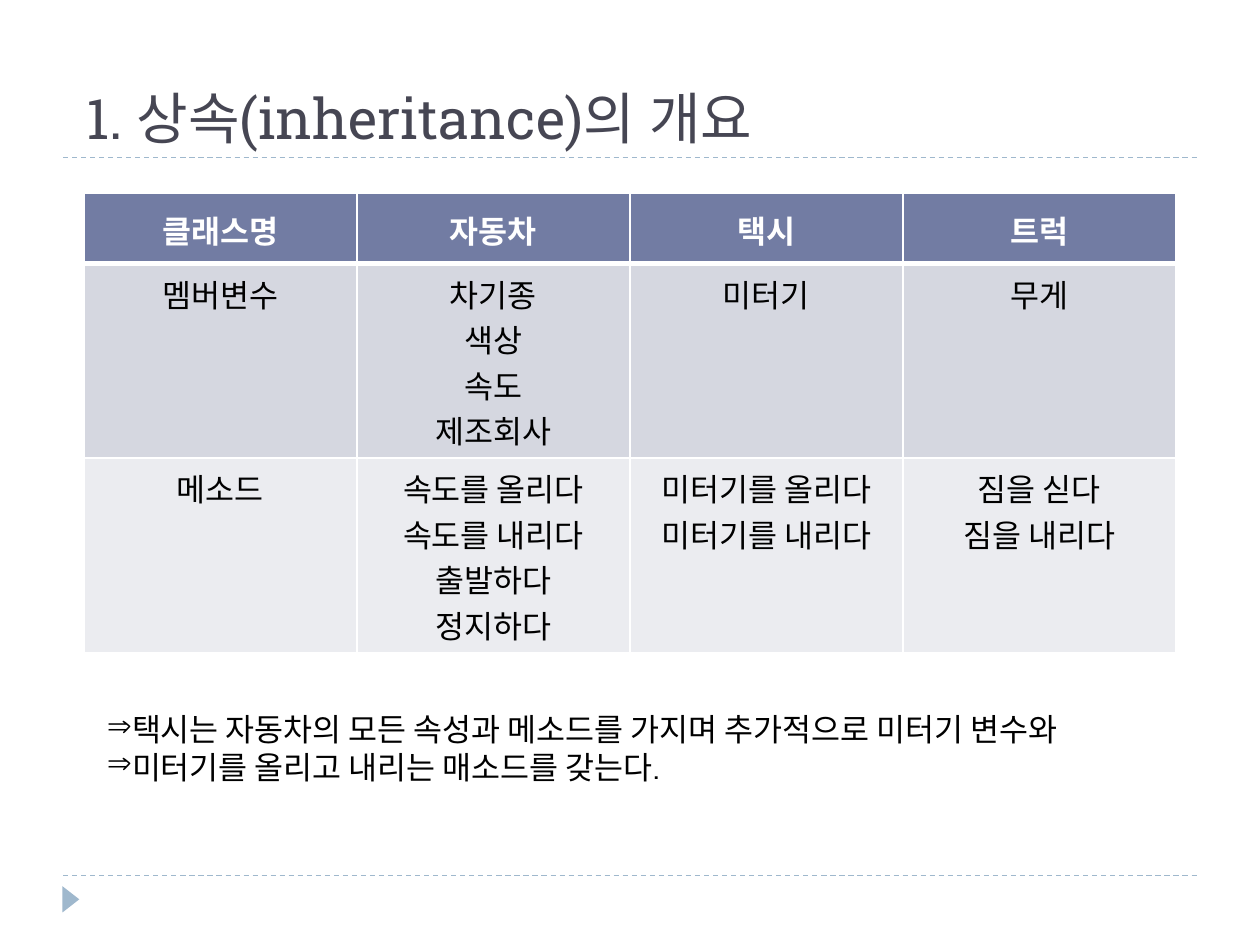
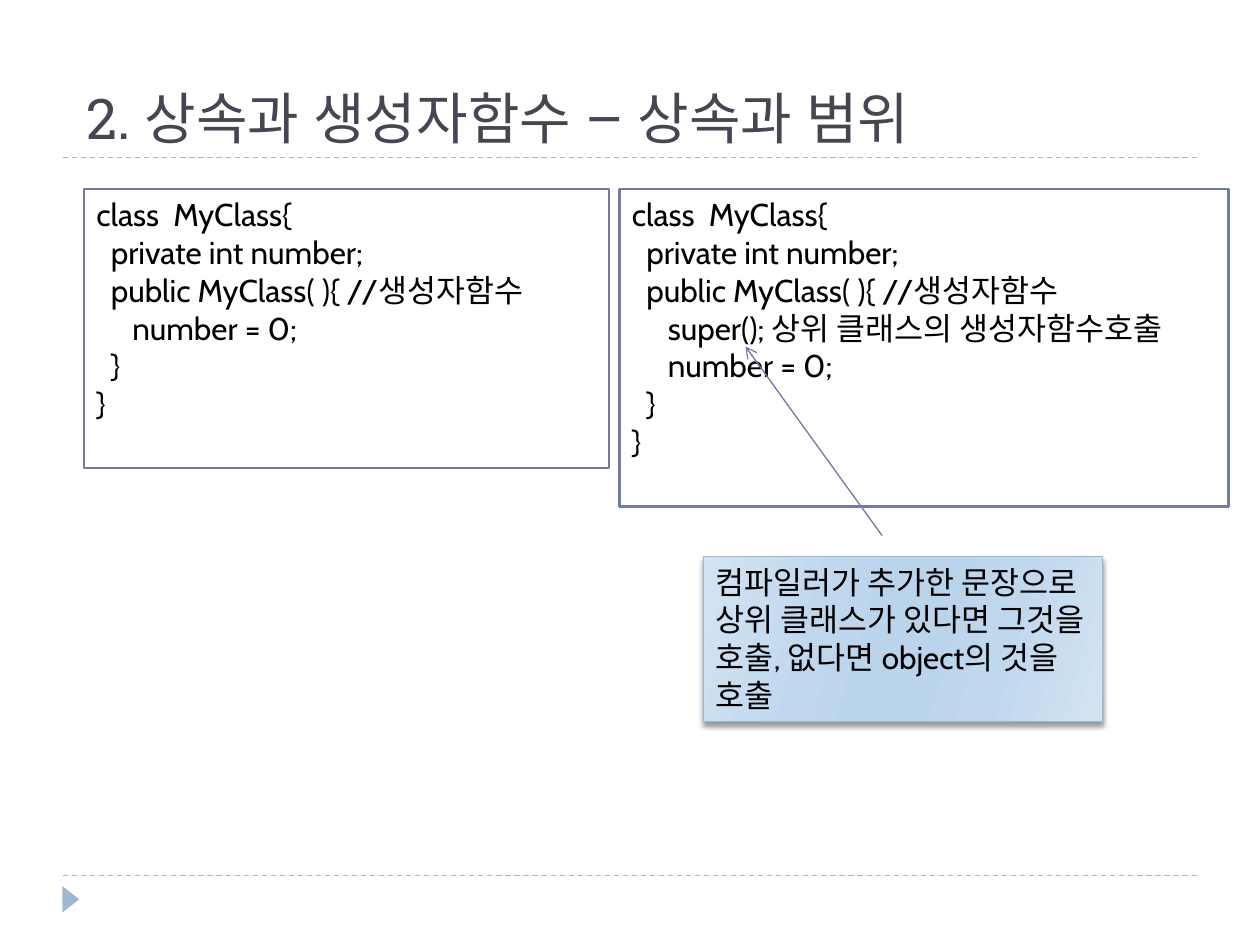
import pptx
import pptx.util
import pptx.dml.color
import pptx.enum.dml
import pptx.enum.shapes
import pptx.enum.text
import pptx.oxml
import pptx.oxml.ns

Pt = pptx.util.Pt
SHAPES = pptx.enum.shapes.MSO_SHAPE
ANCHOR = pptx.enum.text.MSO_ANCHOR
ALIGN = pptx.enum.text.PP_ALIGN

# Shared look; the grid is 120 columns by 90 rows
WIDTH, HEIGHT = pptx.util.Inches(10), pptx.util.Inches(7.5)
UNIT = WIDTH / 120
COLORS = {
    "paper": "FFFFFF", "ink": "000000", "title": "464653",
    "accent": "727CA3", "rule": "9FB8CD",
    "row_dark": "D5D7E0", "row_light": "EBECF0",
}
NOTE_STOPS = {0: "D3E3F2", 30: "C0D8EE", 45: "BAD4EC",
              55: "BAD4EC", 73: "C0D8EE", 100: "D3E3F2"}
TITLE_FORMAT = {"size": Pt(32), "name": "Roboto Slab", "bold": False}
BODY_FORMAT = {"size": Pt(18), "name": "Cabin", "bold": False}
SPACE_WIDTH = pptx.util.Inches(0.057)

# Content
CLASS_TABLE = [
    [["클래스명"], ["자동차"], ["택시"], ["트럭"]],
    [["멤버변수"], ["차기종", "색상", "속도", "제조회사"], ["미터기"], ["무게"]],
    [["메소드"],
     ["속도를 올리다", "속도를 내리다", "출발하다", "정지하다"],
     ["미터기를 올리다", "미터기를 내리다"],
     ["짐을 싣다", "짐을 내리다"]],
]
CONCLUSION = ["택시는 자동차의 모든 속성과 메소드를 가지며 추가적으로 미터기 변수와",
              "미터기를 올리고 내리는 매소드를 갖는다."]
# Each code line: indent in spaces, text
CLASS_HEAD = [(0, "class  MyClass{"), (2, "private int number;"),
              (2, "public MyClass( ){ //생성자함수")]
CLASS_TAIL = [(5, "number = 0;"), (2, "}"), (0, "}")]
SUPER_CALL = [(5, "super(); 상위 클래스의 생성자함수호출")]
COMPILER_NOTE = "컴파일러가 추가한 문장으로 상위 클래스가 있다면 그것을 호출, 없다면 object의 것을 호출"


def grid(*cells):
    return [round(cell * UNIT) for cell in cells]


def rgb(color):
    return pptx.dml.color.RGBColor.from_string(COLORS[color])


def xml(parent, markup):
    """Append a DrawingML fragment to parent."""
    tag_end = min(i for i in (markup.find(" "), markup.find(">"), markup.find("/>")) if i > 0)
    namespace = " " + pptx.oxml.ns.nsdecls("a")
    parent.append(pptx.oxml.parse_xml(markup[:tag_end] + namespace + markup[tag_end:]))


def set_all(target, values):
    for attribute, value in values.items():
        setattr(target, attribute, value)


def write(frame, lines, format_values=BODY_FORMAT, color="ink", **paragraph_values):
    """Fill a text frame, one paragraph a line."""
    for index, line in enumerate(lines):
        paragraph = frame.add_paragraph() if index else frame.paragraphs[0]
        set_all(paragraph, paragraph_values)
        run = paragraph.add_run()
        run.text = line
        set_all(run.font, format_values)
        run.font.color.rgb = rgb(color)
        xml(run.font._element, f'<a:ea typeface="{format_values["name"]}"/>')


def add_rule(slide, start, end, color, dash=None):
    line = slide.shapes.add_connector(
        pptx.enum.shapes.MSO_CONNECTOR.STRAIGHT, *grid(*start, *end))
    set_all(line.line, {"width": Pt(0.75), "dash_style": dash})
    line.line.color.rgb = rgb(color)
    xml(line._element.spPr, "<a:effectLst/>")
    return line


def add_box(slide, area, line_color, line_width):
    box = slide.shapes.add_shape(SHAPES.RECTANGLE, *grid(*area))
    box.shadow.inherit = False
    box.fill.solid()
    box.fill.fore_color.rgb = rgb("paper")
    box.line.color.rgb = rgb(line_color)
    box.line.width = Pt(line_width)
    set_all(box.text_frame, {"word_wrap": True, "vertical_anchor": ANCHOR.TOP})
    return box


def add_titled_slide(deck, heading):
    slide = deck.slides.add_slide(deck.slide_layouts[5])
    # Rules and page marker
    for row in (83.4, 15):
        add_rule(slide, (6, row), (114, row), "rule", pptx.enum.dml.MSO_LINE.DASH)
    marker = slide.shapes.add_shape(SHAPES.ISOSCELES_TRIANGLE, *grid(5.5, 84.85, 2.5, 1.6))
    marker.rotation = 90
    marker.shadow.inherit = False
    marker.fill.solid()
    marker.fill.fore_color.rgb = rgb("rule")
    marker.line.fill.background()
    # Heading
    title = slide.shapes.title
    set_all(title, dict(zip(("left", "top", "width", "height"), grid(7, 2, 108, 13))))
    set_all(title.text_frame, {"vertical_anchor": ANCHOR.BOTTOM, "word_wrap": True,
                               "auto_size": pptx.enum.text.MSO_AUTO_SIZE.NONE})
    write(title.text_frame, [heading], TITLE_FORMAT, "title", alignment=ALIGN.LEFT)
    return slide


def add_class_table(slide, area, row_heights):
    table = slide.shapes.add_table(
        len(CLASS_TABLE), len(CLASS_TABLE[0]), *grid(*area)).table
    fills = ("accent", "row_dark", "row_light")
    for r, (row, height, fill) in enumerate(zip(CLASS_TABLE, row_heights, fills)):
        header = r == 0
        table.rows[r].height = grid(height)[0]
        for c, lines in enumerate(row):
            cell = table.cell(r, c)
            cell.vertical_anchor = ANCHOR.MIDDLE if header else ANCHOR.TOP
            write(cell.text_frame, lines, BODY_FORMAT | {"bold": header},
                  "paper" if header else "ink",
                  alignment=ALIGN.CENTER, line_spacing=Pt(26))
            edges = {"L": 1, "R": 1, "T": 3 if r == 1 else 1, "B": 3 if header else 1}
            for side, width in edges.items():
                xml(cell._tc.get_or_add_tcPr(),
                    f'<a:ln{side} w="{Pt(width)}"><a:solidFill>'
                    f'<a:srgbClr val="{COLORS["paper"]}"/></a:solidFill></a:ln{side}>')
            cell.fill.solid()
            cell.fill.fore_color.rgb = rgb(fill)


def add_conclusion(slide, area):
    frame = slide.shapes.add_textbox(*grid(*area)).text_frame
    frame.word_wrap = False
    write(frame, CONCLUSION, alignment=ALIGN.LEFT)
    for paragraph in frame.paragraphs:
        xml(paragraph._p.get_or_add_pPr(), '<a:buChar char="⇒"/>')


def add_code(slide, area, code):
    frame = add_box(slide, area, "accent", 1.5).text_frame
    write(frame, [text for _, text in code], alignment=ALIGN.LEFT)
    for paragraph, (spaces, _) in zip(frame.paragraphs, code):
        paragraph._p.get_or_add_pPr().set("marL", str(round(spaces * SPACE_WIDTH)))


def add_note(slide, area):
    note = add_box(slide, area, "rule", 0.75)
    write(note.text_frame, [COMPILER_NOTE], alignment=ALIGN.LEFT)
    # Soft gradient and drop shadow
    properties = note._element.spPr
    stops = "".join(f'<a:gs pos="{share * 1000}"><a:srgbClr val="{color}"/></a:gs>'
                    for share, color in NOTE_STOPS.items())
    xml(properties, f'<a:gradFill rotWithShape="1"><a:gsLst>{stops}</a:gsLst>'
                    '<a:lin ang="960000" scaled="0"/></a:gradFill>')
    properties.replace(properties.find(pptx.oxml.ns.qn("a:solidFill")), properties[-1])
    xml(properties.find(pptx.oxml.ns.qn("a:effectLst")),
        f'<a:outerShdw blurRad="{Pt(3)}" dist="{Pt(2)}" dir="5400000" rotWithShape="0">'
        f'<a:srgbClr val="{COLORS["ink"]}"><a:alpha val="40000"/></a:srgbClr></a:outerShdw>')


def main():
    deck = pptx.Presentation()
    set_all(deck, {"slide_width": WIDTH, "slide_height": HEIGHT})

    # Overview of inheritance
    overview = add_titled_slide(deck, "1. 상속(inheritance)의 개요")
    add_class_table(overview, (8, 18.4, 104, 43.7), (6.7, 18.5, 18.5))
    add_conclusion(overview, (9, 67, 104, 8.5))

    # Constructors and inheritance
    constructors = add_titled_slide(deck, "2. 상속과 생성자함수 – 상속과 범위")
    add_code(constructors, (8, 18, 50, 26.6), CLASS_HEAD + CLASS_TAIL)
    add_code(constructors, (59, 18, 58, 30.25), CLASS_HEAD + SUPER_CALL + CLASS_TAIL)
    add_note(constructors, (67, 53, 38, 15.75))
    pointer = add_rule(constructors, (84, 51), (71, 33), "accent")
    xml(pointer.line._get_or_add_ln(), '<a:tailEnd type="arrow"/>')

    deck.save("out.pptx")


if __name__ == "__main__":
    main()
